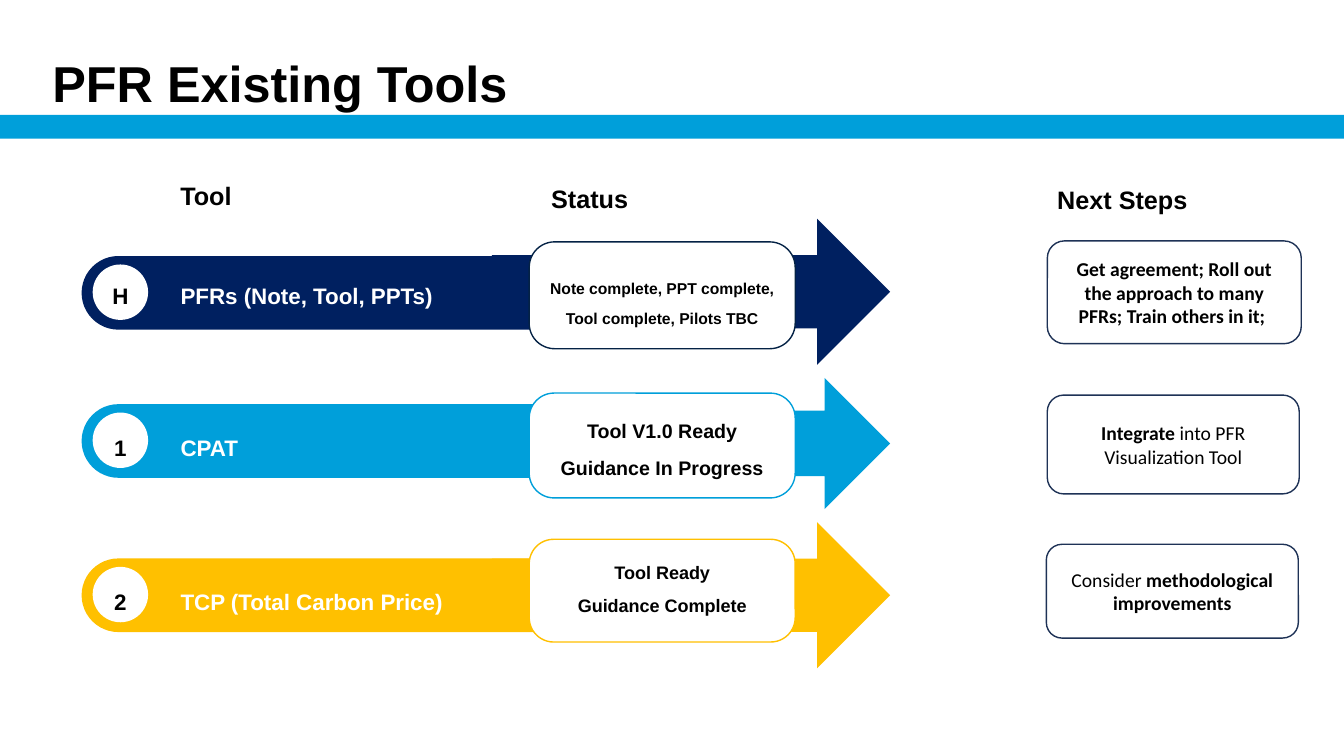
from pptx import Presentation
from pptx.dml.color import RGBColor
from pptx.enum.shapes import MSO_SHAPE
from pptx.enum.text import MSO_ANCHOR, MSO_AUTO_SIZE, PP_ALIGN
from pptx.util import Pt

BAR, PILL = MSO_SHAPE.RECTANGLE, MSO_SHAPE.ROUNDED_RECTANGLE
ARROW, CIRCLE = MSO_SHAPE.RIGHT_ARROW, MSO_SHAPE.OVAL
TOP, MIDDLE = MSO_ANCHOR.TOP, MSO_ANCHOR.MIDDLE
LEFT, CENTER = PP_ALIGN.LEFT, PP_ALIGN.CENTER
NO_AUTOFIT = MSO_AUTO_SIZE.NONE

# Content: text is a list of paragraphs, each a list of (text, bold) runs
TITLE = "PFR Existing Tools"
HEADINGS = [("Tool", 121.7, 114.5), ("Status", 386.6, 116.6), ("Next Steps", 748.1, 117.4)]
COLORS = {
    "navy": "002060", "blue": "009FDA", "gold": "FFC000", "status_navy": "042245",
    "card_line": "1E3256", "white": "FFFFFF", "black": "000000",
}
# Vertical extents are (top, height); card is (left, top, width, height)
TOOLS = [
    {
        "number": "H", "name": "PFRs (Note, Tool, PPTs)",
        "color": "navy", "outline": "status_navy",
        "status": [[("Note complete, PPT complete, Tool complete, Pilots TBC", True)]],
        "status_size": 11.2, "status_spacing": 1.6, "status_top": 175.6,
        "next": [[("Get agreement; Roll out the approach to many PFRs; Train others in it; ", True)]],
        "bar_top": 182.9, "arrow": (156.2, 104.4), "box": (172.8, 76.3),
        "text_top": 188.3, "card": (748.1, 172.1, 181.4, 73.4),
    },
    {
        "number": "1", "name": "CPAT",
        "color": "blue", "outline": "blue",
        "status": [[("Tool V1.0 Ready", True)], [("Guidance In Progress", True)]],
        "status_size": 14, "status_spacing": 1.55, "status_top": 279.4,
        "next": [[("Integrate", True), (" into PFR Visualization Tool", False)]],
        "bar_top": 288.7, "arrow": (270, 93.6), "box": (280.8, 74.9),
        "text_top": 297, "card": (748.1, 282.2, 180, 70.6),
    },
    {
        "number": "2", "name": "TCP (Total Carbon Price)",
        "color": "gold", "outline": "gold",
        "status": [[("Tool Ready", True)], [("Guidance Complete", True)]],
        "status_size": 12.9, "status_spacing": 1.5, "status_top": 379.8,
        "next": [[("Consider ", False), ("methodological improvements", True)]],
        "bar_top": 398.9, "arrow": (373, 104.4), "box": (385.2, 73.4),
        "text_top": 407.2, "card": (747.4, 388.8, 180, 67),
    },
]

# Column layout
BAR_LEFT, BAR_WIDTH, BAR_HEIGHT = 58.3, 435, 52.6
ARROW_LEFT, ARROW_WIDTH = 351.4, 284.4
CIRCLE_LEFT, CIRCLE_SIZE, CIRCLE_INSET = 66.2, 39.6, 6
BOX_LEFT, BOX_WIDTH = 378, 190
NAME_LEFT, NAME_WIDTH = 121.9, 246
STATUS_LEFT, STATUS_WIDTH, STATUS_HEIGHT = 382.3, 181.4, 73.4


def color(name):
    return RGBColor.from_string(COLORS[name])


def write(shape, paragraphs, size, font="Arial", ink="black", align=LEFT,
          anchor=TOP, spacing=1.0):
    frame = shape.text_frame
    frame.word_wrap = True
    frame.auto_size = NO_AUTOFIT
    frame.vertical_anchor = anchor
    for index, runs in enumerate(paragraphs):
        paragraph = frame.add_paragraph() if index else frame.paragraphs[0]
        paragraph.alignment = align
        paragraph.line_spacing = spacing
        for text, bold in runs:
            run = paragraph.add_run()
            run.text = text
            run.font.name = font
            run.font.size = Pt(size)
            run.font.bold = bold
            run.font.color.rgb = color(ink)


def add_text(slide, box, paragraphs, size, **style):
    shape = slide.shapes.add_textbox(*map(Pt, box))
    write(shape, paragraphs, size, **style)


def add_block(slide, kind, box, fill=None, line=None, rounding=None):
    shape = slide.shapes.add_shape(kind, *map(Pt, box))
    shape.shadow.inherit = False
    if fill:
        shape.fill.solid()
        shape.fill.fore_color.rgb = color(fill)
    else:
        shape.fill.background()
    if line:
        shape.line.color.rgb = color(line)
        shape.line.width = Pt(1)
    else:
        shape.line.fill.background()
    if rounding is not None:
        shape.adjustments[0] = rounding
    return shape


def add_tool(slide, tool):
    # Arrow with its round marker and status box
    bar_top = tool["bar_top"]
    arrow_top, arrow_height = tool["arrow"]
    box_top, box_height = tool["box"]
    circle = (CIRCLE_LEFT, bar_top + CIRCLE_INSET, CIRCLE_SIZE, CIRCLE_SIZE)
    add_block(slide, PILL, (BAR_LEFT, bar_top, BAR_WIDTH, BAR_HEIGHT),
              tool["color"], rounding=0.5)
    add_block(slide, ARROW, (ARROW_LEFT, arrow_top, ARROW_WIDTH, arrow_height), tool["color"])
    add_block(slide, CIRCLE, circle, "white")
    add_block(slide, PILL, (BOX_LEFT, box_top, BOX_WIDTH, box_height),
              "white", tool["outline"], 0.238)

    # Number, name and status
    add_text(slide, (CIRCLE_LEFT, tool["text_top"], CIRCLE_SIZE, CIRCLE_SIZE),
             [[(tool["number"], True)]], 16, align=CENTER, spacing=1.5)
    add_text(slide, (NAME_LEFT, tool["text_top"], NAME_WIDTH, CIRCLE_SIZE),
             [[(tool["name"], True)]], 16, ink="white", spacing=1.5)
    add_text(slide, (STATUS_LEFT, tool["status_top"], STATUS_WIDTH, STATUS_HEIGHT),
             tool["status"], tool["status_size"], align=CENTER, anchor=MIDDLE,
             spacing=tool["status_spacing"])

    # Next step card
    card = add_block(slide, PILL, tool["card"], line="card_line")
    write(card, tool["next"], 14, font="Calibri", align=CENTER, anchor=MIDDLE)


def main():
    presentation = Presentation()
    presentation.slide_width, presentation.slide_height = Pt(960), Pt(540)
    slide = presentation.slides.add_slide(presentation.slide_layouts[5])

    # Title and rule
    title = slide.shapes.title
    title.left, title.top, title.width, title.height = map(Pt, (30.2, 33.4, 898.6, 48))
    write(title, [[(TITLE, True)]], 36)
    add_block(slide, BAR, (0, 82.1, 960, 16.9), "blue")

    # Column headings
    for heading, left, top in HEADINGS:
        add_text(slide, (left, top, 144.7, 39.6), [[(heading, True)]], 18, spacing=1.5)

    # Tool rows
    for tool in TOOLS:
        add_tool(slide, tool)

    presentation.save("out.pptx")


if __name__ == "__main__":
    main()
